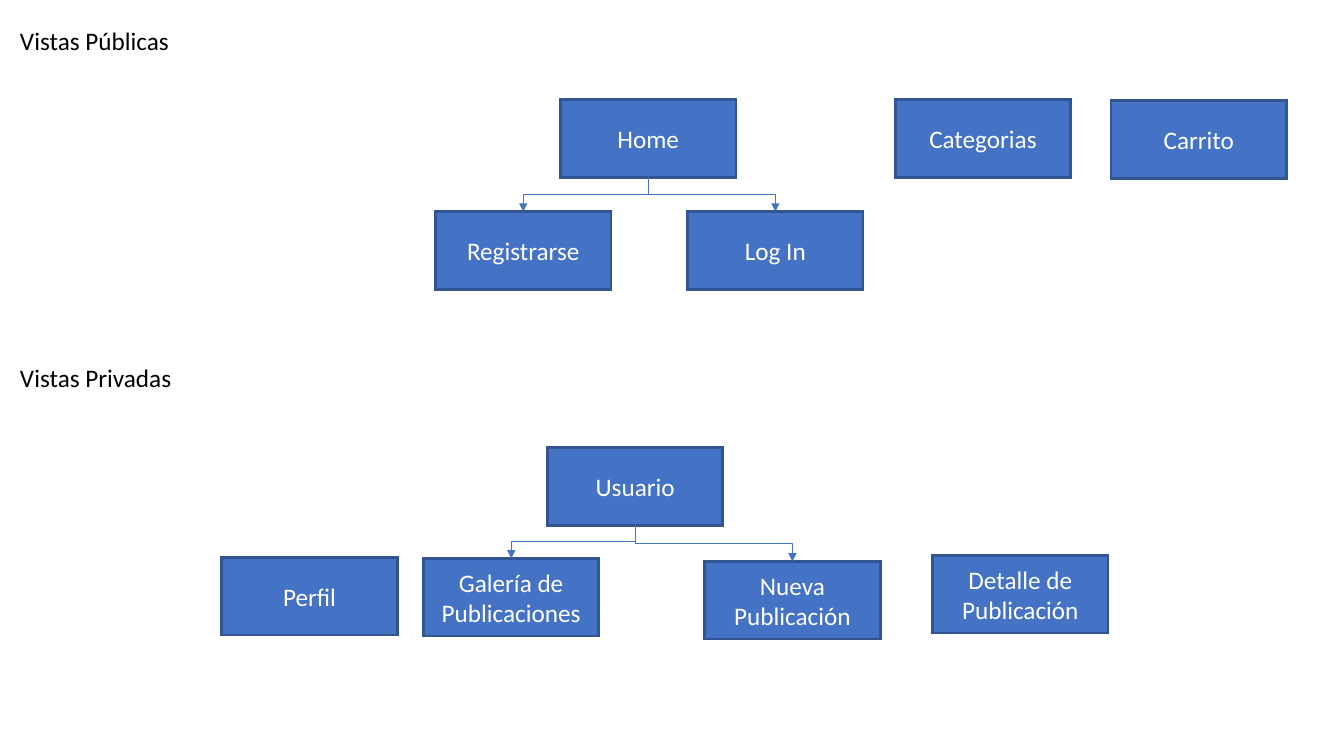
from pptx import Presentation
from pptx.dml.color import RGBColor
from pptx.enum import shapes, text
from pptx.oxml import ns, xmlchemy
from pptx.util import Inches, Pt

BLUE = RGBColor(0x44, 0x72, 0xC4)
DARK_BLUE = RGBColor(0x32, 0x54, 0x90)
WHITE = RGBColor(0xFF, 0xFF, 0xFF)
BLACK = RGBColor(0, 0, 0)

BOX_W, BOX_H = Inches(1.74), Inches(0.77)
BOTTOM, TOP = 2, 0  # connection sites of a rectangle

# Heading of each section and its top
HEADINGS = [("Vistas Públicas", 0.2), ("Vistas Privadas", 3.55)]

# View name, left and top
VIEWS = [
    ("Home", 5.56, 0.99),
    ("Registrarse", 4.32, 2.1),
    ("Log In", 6.82, 2.1),
    ("Categorias", 8.88, 0.99),
    ("Carrito", 11.02, 1),
    ("Usuario", 5.43, 4.44),
    ("Perfil", 2.2, 5.53),
    ("Galería de Publicaciones", 4.2, 5.54),
    ("Nueva Publicación", 6.99, 5.57),
    ("Detalle de Publicación", 9.25, 5.51),
]

# Parent view and child view
LINKS = [
    ("Home", "Registrarse"),
    ("Home", "Log In"),
    ("Usuario", "Galería de Publicaciones"),
    ("Usuario", "Nueva Publicación"),
]


def add_run(p, label, color):
    r = p.add_run()
    r.text = label
    r.font.name = "Calibri"
    r.font.size = Pt(18)
    r.font.color.rgb = color


def style_line(line, color, width, detail, **attributes):
    line.color.rgb = color
    line.width = Pt(width)
    element = xmlchemy.OxmlElement(detail)
    for key, value in attributes.items():
        element.set(key, value)
    line._get_or_add_ln().append(element)


def add_heading(s, label, top):
    sp = s.shapes.add_textbox(Inches(0.1), Inches(top), Inches(13.13), Inches(0.4))
    tf = sp.text_frame
    tf.word_wrap = True
    add_run(tf.paragraphs[0], label, BLACK)


def add_view(s, label, left, top):
    sp = s.shapes.add_shape(shapes.MSO_SHAPE.RECTANGLE,
                            Inches(left), Inches(top), BOX_W, BOX_H)
    sp.shadow.inherit = False
    sp.fill.solid()
    sp.fill.fore_color.rgb = BLUE
    style_line(sp.line, DARK_BLUE, 2, "a:miter", lim="800000")
    tf = sp.text_frame
    tf.word_wrap = True
    tf.vertical_anchor = text.MSO_ANCHOR.MIDDLE
    p = tf.paragraphs[0]
    p.alignment = text.PP_ALIGN.CENTER
    add_run(p, label, WHITE)
    return sp


def add_link(s, parent, child):
    x1, y1 = parent.left + BOX_W // 2, parent.top + BOX_H
    x2, y2 = child.left + BOX_W // 2, child.top
    c = s.shapes.add_connector(shapes.MSO_CONNECTOR.ELBOW, x1, y1, x2, y2)
    c.begin_connect(parent, BOTTOM)
    c.end_connect(child, TOP)

    # Turn the elbow so that it leaves and arrives vertically
    drop, span = y2 - y1, abs(x2 - x1)
    c.left, c.top = (x1 + x2 - drop) // 2, (y1 + y2 - span) // 2
    c.width, c.height = drop, span
    to_right = x2 > x1
    xfrm = c._element.spPr.find(ns.qn("a:xfrm"))
    xfrm.set("rot", str((270 if to_right else 90) * 60000))
    xfrm.set("flipH", "1" if to_right else "0")
    xfrm.set("flipV", "0")

    # Arrowhead and no shadow
    style_line(c.line, BLUE, 0.75, "a:tailEnd", type="triangle")
    c._element.spPr.append(xmlchemy.OxmlElement("a:effectLst"))


def main():
    prs = Presentation()
    prs.slide_width, prs.slide_height = Inches(13.33), Inches(7.5)
    s = prs.slides.add_slide(prs.slide_layouts[6])

    for label, top in HEADINGS:
        add_heading(s, label, top)
    views = {label: add_view(s, label, left, top) for label, left, top in VIEWS}
    for parent, child in LINKS:
        add_link(s, views[parent], views[child])

    prs.save("out.pptx")


main()
